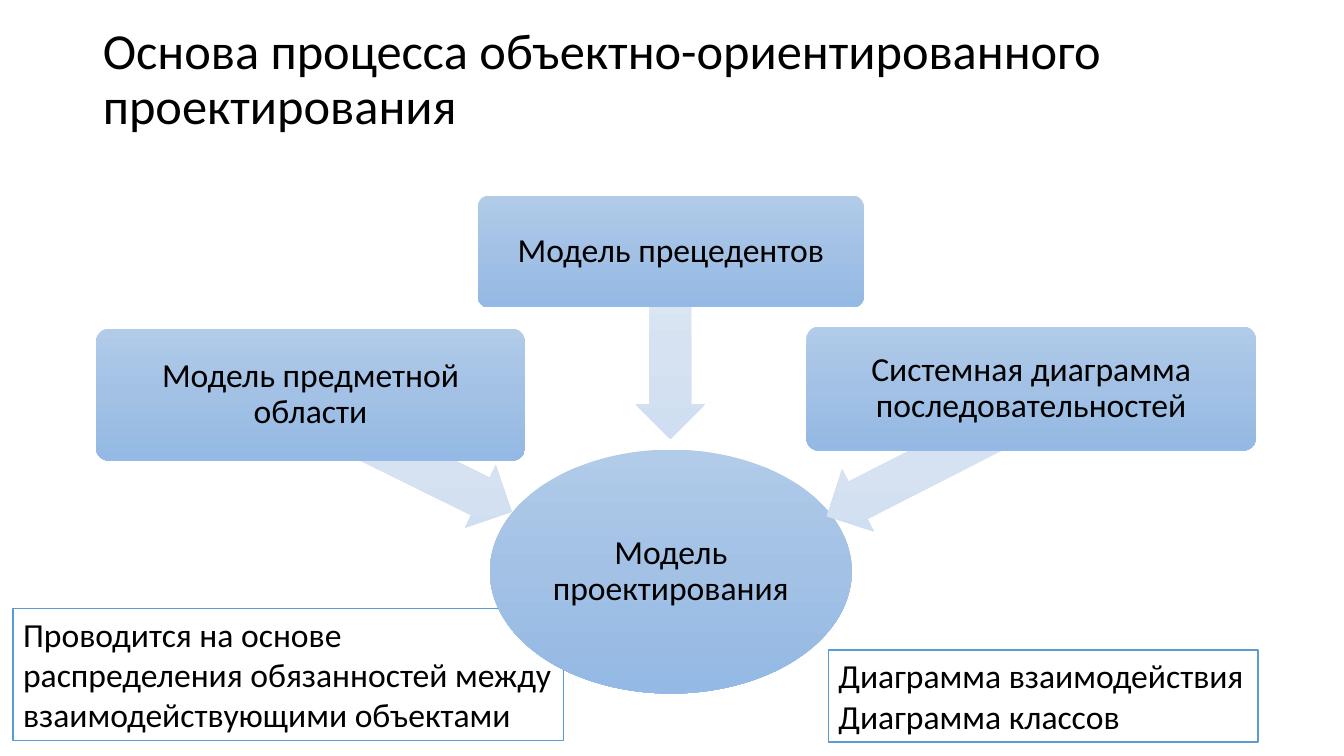
from dataclasses import dataclass

from pptx import Presentation, oxml, util as u
from pptx.dml.color import RGBColor
from pptx.enum import shapes, text
from pptx.oxml import ns
from pptx.shapes.autoshape import Shape
from pptx.slide import Slide

SLIDE_WIDTH, SLIDE_HEIGHT = u.Inches(13.333), u.Inches(7.5)
FONT = "Calibri"
COLOURS = {"text": "000000", "paper": "FFFFFF", "outline": "5B9BD5"}
GRADIENTS = {
    "model": ("B1CBE9", "A3C1E5", "93B9E4"),
    "arrow": ("E3EBF6", "D6E2F2", "D0DEF1"),
}
FORMATS = {
    "title": {"size": 36, "align": text.PP_ALIGN.LEFT, "spacing": 0.9},
    "model": {"size": 24, "align": text.PP_ALIGN.CENTER, "spacing": 0.9},
    "note": {"size": 24, "align": text.PP_ALIGN.LEFT, "spacing": 1.0},
}
ARROW_HEIGHT = 9.2


@dataclass(frozen=True)
class Box:
    """A rectangle in percent of the slide's width and height."""
    left: float
    top: float
    width: float
    height: float

    def lengths(self) -> tuple[int, int, int, int]:
        return (round(SLIDE_WIDTH * self.left / 100), round(SLIDE_HEIGHT * self.top / 100),
                round(SLIDE_WIDTH * self.width / 100), round(SLIDE_HEIGHT * self.height / 100))


@dataclass(frozen=True)
class Source:
    """A model that feeds the design, with its arrow."""
    wording: str
    box: Box
    arrow: Box
    rotation: float


@dataclass(frozen=True)
class Note:
    lines: tuple[str, ...]
    box: Box
    wrap: bool


TITLE = "Основа процесса объектно-ориентированного проектирования"
TITLE_BOX = Box(6.9, 1.6, 91.13, 18.13)
DESIGN = "Модель проектирования"
DESIGN_BOX = Box(36.45, 59.47, 26.93, 32.27)
SOURCES = (
    Source("Модель предметной области", Box(7.13, 43.47, 31.95, 17.47),
           Box(22.2, 56.53, 16.73, ARROW_HEIGHT), 206.2),
    Source("Модель прецедентов", Box(35.55, 25.87, 28.73, 14.8),
           Box(42.9, 41.07, 13.95, ARROW_HEIGHT), 270),
    Source("Системная диаграмма последовательностей", Box(60, 43.2, 33.45, 16.4),
           Box(60.6, 56.8, 17.03, ARROW_HEIGHT), 333),
)
DUTIES_NOTE = Note(
    ("Проводится на основе распределения обязанностей между взаимодействующими объектами",),
    Box(0.98, 80.53, 40.95, 17.47), True)
DIAGRAMS_NOTE = Note(("Диаграмма взаимодействия", "Диаграмма классов"),
                     Box(61.65, 86, 31.95, 12.13), False)


def write(shape: Shape, lines: tuple[str, ...], style: str, frame_format: dict) -> None:
    frame = shape.text_frame
    for name, value in frame_format.items():
        setattr(frame, name, value)
    frame.text = "\n".join(lines)
    style_format = FORMATS[style]
    for paragraph in frame.paragraphs:
        paragraph.alignment = style_format["align"]
        paragraph.line_spacing = style_format["spacing"]
        for run in paragraph.runs:
            run.font.name = FONT
            run.font.size = u.Pt(style_format["size"])
            run.font.color.rgb = RGBColor.from_string(COLOURS["text"])


def add_gradient_shape(slide: Slide, kind: shapes.MSO_SHAPE, box: Box, gradient: str) -> Shape:
    """Add an unlined shape whose gradient runs down the slide, however it is turned."""
    shape = slide.shapes.add_shape(kind, *box.lengths())
    shape.shadow.inherit = False
    shape.line.fill.background()
    shape.fill.gradient()
    stops = "".join(
        f'<a:gs pos="{index * 50000}"><a:srgbClr val="{colour}"/></a:gs>'
        for index, colour in enumerate(GRADIENTS[gradient]))
    fill = oxml.parse_xml(
        f'<a:gradFill {ns.nsdecls("a")} rotWithShape="0"><a:gsLst>{stops}</a:gsLst>'
        '<a:lin ang="5400000" scaled="0"/></a:gradFill>')
    properties = shape._element.spPr
    properties.replace(properties.find(ns.qn("a:gradFill")), fill)
    return shape


def add_model(slide: Slide, kind: shapes.MSO_SHAPE, box: Box, wording: str, inset: float) -> Shape:
    shape = add_gradient_shape(slide, kind, box, "model")
    sides = ("left", "top", "right", "bottom")
    frame_format = {f"margin_{side}": u.Inches(inset) for side in sides}
    frame_format |= {"word_wrap": True, "vertical_anchor": text.MSO_ANCHOR.MIDDLE}
    write(shape, (wording,), "model", frame_format)
    return shape


def add_source(slide: Slide, source: Source) -> None:
    arrow = add_gradient_shape(slide, shapes.MSO_SHAPE.LEFT_ARROW, source.arrow, "arrow")
    arrow.adjustments[0], arrow.adjustments[1] = 0.6, 0.5
    arrow.rotation = source.rotation
    model = add_model(slide, shapes.MSO_SHAPE.ROUNDED_RECTANGLE, source.box, source.wording, 0.05)
    model.adjustments[0] = 0.1


def add_note(slide: Slide, note: Note) -> None:
    shape = slide.shapes.add_shape(shapes.MSO_SHAPE.RECTANGLE, *note.box.lengths())
    shape.shadow.inherit = False
    shape.fill.solid()
    shape.fill.fore_color.rgb = RGBColor.from_string(COLOURS["paper"])
    shape.line.color.rgb = RGBColor.from_string(COLOURS["outline"])
    shape.line.width = u.Pt(1)
    write(shape, note.lines, "note", {
        "word_wrap": note.wrap,
        "vertical_anchor": text.MSO_ANCHOR.TOP,
        "auto_size": text.MSO_AUTO_SIZE.SHAPE_TO_FIT_TEXT,
    })


def add_title(slide: Slide) -> None:
    title = slide.shapes.title
    title.left, title.top, title.width, title.height = TITLE_BOX.lengths()
    write(title, (TITLE,), "title", {
        "word_wrap": True,
        "vertical_anchor": text.MSO_ANCHOR.MIDDLE,
        "auto_size": text.MSO_AUTO_SIZE.NONE,
    })


def main() -> None:
    presentation = Presentation()
    presentation.slide_width, presentation.slide_height = SLIDE_WIDTH, SLIDE_HEIGHT
    slide = presentation.slides.add_slide(presentation.slide_layouts.get_by_name("Title Only"))
    add_title(slide)
    add_note(slide, DUTIES_NOTE)
    add_model(slide, shapes.MSO_SHAPE.OVAL, DESIGN_BOX, DESIGN, 0.02)
    for source in SOURCES:
        add_source(slide, source)
    add_note(slide, DIAGRAMS_NOTE)
    presentation.save("out.pptx")


if __name__ == "__main__":
    main()
